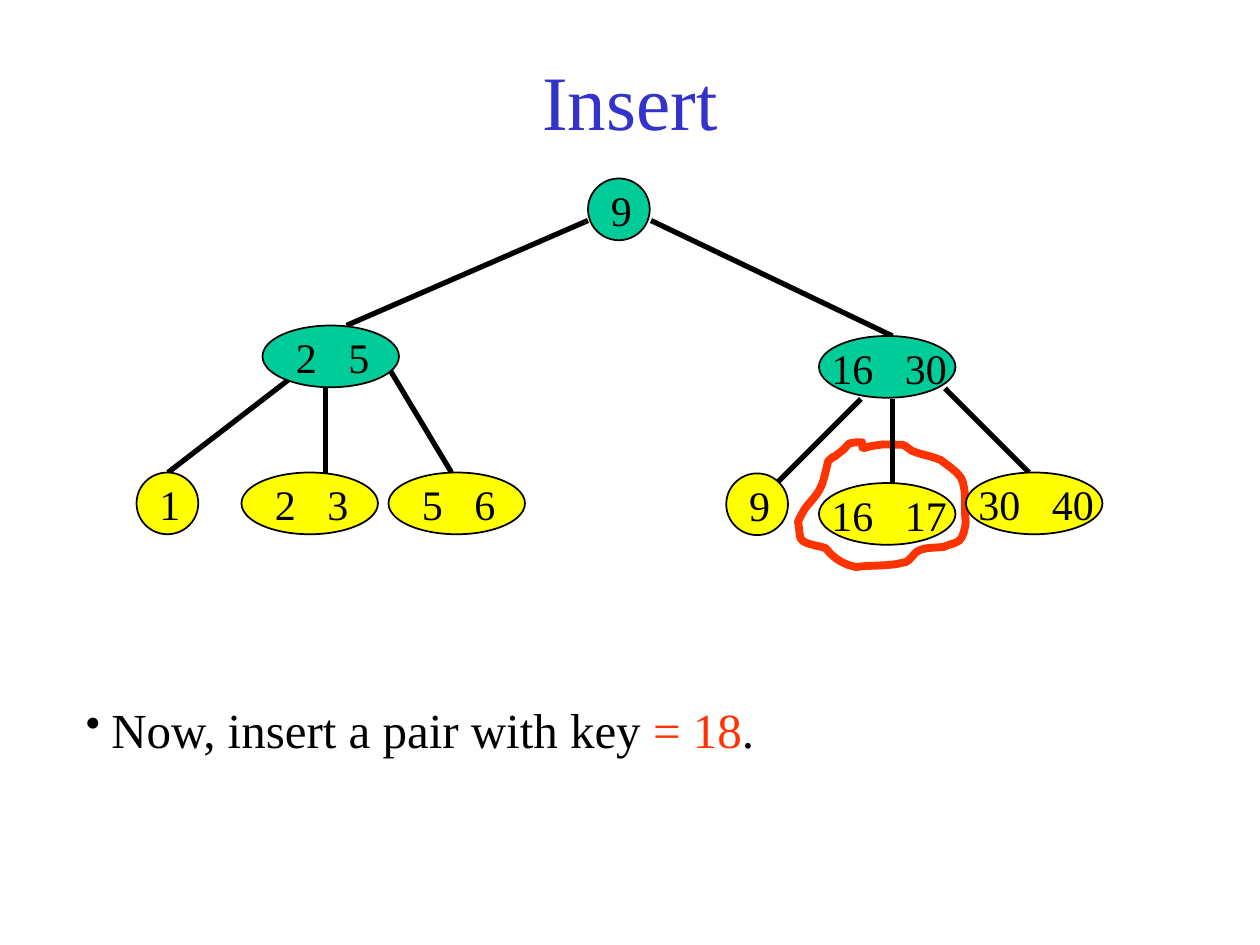
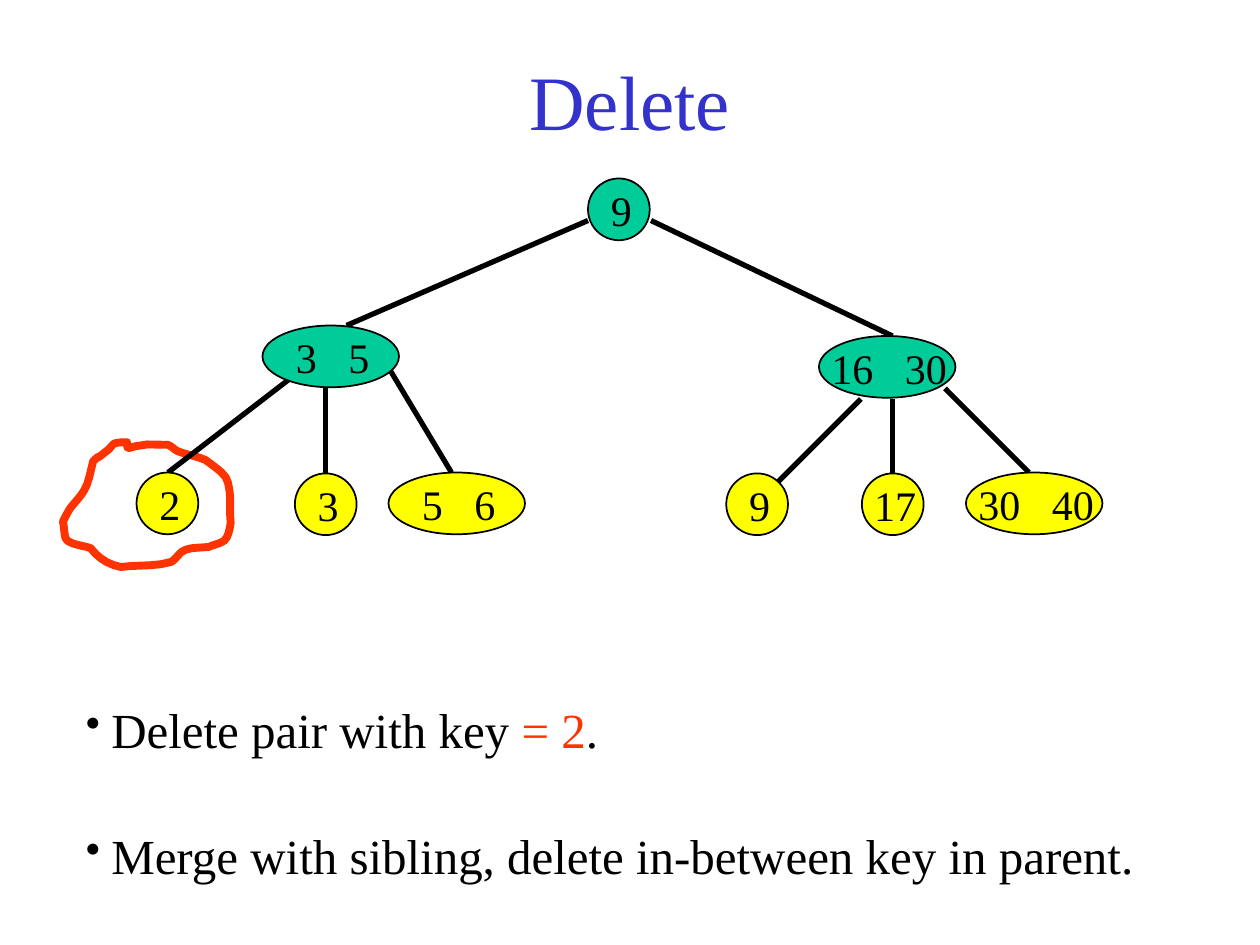
from itertools import pairwise

from lxml.etree import SubElement
from pptx import Presentation
from pptx.dml.color import RGBColor
from pptx.enum.shapes import MSO_CONNECTOR, MSO_SHAPE
from pptx.enum.text import MSO_ANCHOR, PP_ALIGN
from pptx.oxml.ns import qn
from pptx.util import Pt

FONT = "Times New Roman"
BLACK, BLUE, RED = "000000", "3333CC", "FF3300"
INDEX_FILL, LEAF_FILL = "00CC99", "FFFF00"

# Tree parts on both slides: (left, top, keys)
INDEX_NODES = [(336, 102, ["9"]), (468, 192, ["16", "30"])]
LEAF_NODES = [(222, 270, ["5", "6"]), (415, 270.5, ["9"]), (552, 270, ["30", "40"])]
EDGES = [
    (336, 126, 198, 186), (372, 126, 510, 192),
    (174, 210, 96, 270), (186, 222, 186, 270), (222, 210, 258, 270),
    (492, 228, 444, 276), (510, 228, 510, 276), (540, 222, 588, 270),
]

# Bullets are lists of (text, colour) spans
SLIDES = [
    {
        "title": "Insert",
        "mark": (456, 252),
        "index": [(150, 186, ["2", "5"])],
        "leaves": [(78, 270, ["1"]), (138, 270, ["2", "3"]), (468, 276, ["16", "17"])],
        "bullets": [
            [("Now, insert a pair with key ", BLACK), ("= 18", RED), (".", BLACK)],
        ],
    },
    {
        "title": "Delete",
        "mark": (36, 252),
        "index": [(150, 186, ["3", "5"])],
        "leaves": [(78, 270, ["2"]), (168.5, 270.5, ["3"]), (492.5, 270.5, ["17"])],
        "bullets": [
            [("Delete pair with key ", BLACK), ("= 2", RED), (".", BLACK)],
            [("Merge with sibling, delete in-between key in parent.", BLACK)],
        ],
    },
]

# Hand-drawn ring: a start point, then two handles and an end per curve
RING_START = (36.7, 0.7)
RING_CURVES = [
    (34.6, 0.7, 31.7, 0.7, 29.5, 1.4), (28.1, 2.2, 27.4, 3.6, 25.9, 5),
    (14.4, 14.4, 24.5, 5, 17.3, 11.5), (15.8, 16.6, 15.1, 23, 12.2, 28.1),
    (10.1, 31.7, 7.2, 34.6, 4.3, 38.2), (2.9, 40.3, 1.4, 43.2, 0, 46.1),
    (0.7, 49, 0.7, 52.6, 1.4, 55.4), (2.2, 59, 12.2, 59.8, 15.8, 61.2),
    (20.2, 67, 25.9, 70.6, 33.1, 72), (42.5, 70.6, 52.6, 72, 61.9, 69.1),
    (64.1, 67.7, 65.5, 65.5, 67.7, 63.4), (71.3, 60.5, 78.5, 61.2, 83.5, 60.5),
    (86.4, 59, 89.3, 59, 92.2, 56.9), (95, 54.7, 95.8, 46.8, 95.8, 46.8),
    (95, 39.6, 96.5, 31.7, 94.3, 23.8), (93.6, 18.7, 85, 13.7, 81.4, 10.8),
    (76.3, 8.6, 70.6, 7.9, 65.5, 5.8), (64.8, 5.8, 61.2, 2.2, 59.8, 2.2),
    (36, 0, 36.7, 8.6, 36.7, 0.7),
]
CURVE_STEPS = 5

NODE_HEIGHT, PAIR_WIDTH = 35.28, 78
DIGIT_WIDTH, KEY_GAP = 12, 18
BULLET_INDENT = 14.5


def color(value):
    return RGBColor.from_string(value)


def add_text(page, spans, left, top, width, height, size=24, align=PP_ALIGN.LEFT,
             anchor=MSO_ANCHOR.TOP, bullet=False, tab=None):
    box = page.shapes.add_textbox(Pt(left), Pt(top), Pt(width), Pt(height))
    frame = box.text_frame
    frame.word_wrap = True
    frame.vertical_anchor = anchor
    para = frame.paragraphs[0]
    para.alignment = align
    properties = para._p.get_or_add_pPr()
    if bullet:
        properties.set("marL", str(Pt(BULLET_INDENT)))
        properties.set("indent", str(-Pt(BULLET_INDENT)))
        SubElement(properties, qn("a:buSzPct"), val="86000")
        SubElement(properties, qn("a:buChar"), char="•")
    if tab:
        stops = SubElement(properties, qn("a:tabLst"))
        SubElement(stops, qn("a:tab"), pos=str(Pt(tab)), algn="l")
    for text, text_color in spans:
        span = para.add_run()
        span.text = text
        span.font.name = FONT
        span.font.size = Pt(size)
        span.font.color.rgb = color(text_color)


def add_edge(page, *ends):
    edge = page.shapes.add_connector(MSO_CONNECTOR.STRAIGHT, *map(Pt, ends))
    edge.line.width = Pt(3)
    edge.line.color.rgb = color(BLACK)
    SubElement(edge._element.spPr, qn("a:effectLst"))


def add_node(page, left, top, keys, fill):
    is_pair = len(keys) == 2
    width = PAIR_WIDTH if is_pair else NODE_HEIGHT
    node = page.shapes.add_shape(MSO_SHAPE.OVAL, Pt(left), Pt(top), Pt(width), Pt(NODE_HEIGHT))
    node.shadow.inherit = False
    node.fill.solid()
    node.fill.fore_color.rgb = color(fill)
    node.line.color.rgb = color(BLACK)
    node.line.width = Pt(1)

    # One-digit keys start further in; two-digit keys start at the node's edge
    shift = 0 if len(keys[0]) == 2 else 12 if is_pair else 6
    tab = DIGIT_WIDTH * len(keys[0]) + KEY_GAP if is_pair else None
    label_width = (tab or 0) + DIGIT_WIDTH * len(keys[-1]) + 18
    add_text(page, [("\t".join(keys), BLACK)], left + shift, top, label_width, 36, tab=tab)


def ring_points():
    ends = [RING_START] + [curve[4:] for curve in RING_CURVES]
    for (start, end), curve in zip(pairwise(ends), RING_CURVES):
        handles = start, curve[:2], curve[2:4], end
        for step in range(1, CURVE_STEPS + 1):
            t = step / CURVE_STEPS
            weights = (1 - t) ** 3, 3 * t * (1 - t) ** 2, 3 * t ** 2 * (1 - t), t ** 3
            yield tuple(sum(w * point[axis] for w, point in zip(weights, handles))
                        for axis in (0, 1))


def add_ring(page, left, top):
    def place(point):
        return Pt(left + point[0]), Pt(top + point[1])

    builder = page.shapes.build_freeform(*place(RING_START))
    builder.add_line_segments([place(point) for point in ring_points()], close=True)
    ring = builder.convert_to_shape()
    ring.shadow.inherit = False
    ring.fill.background()
    ring.line.color.rgb = color(RED)
    ring.line.width = Pt(4.5)


def build_slide(deck, content):
    page = deck.slides.add_slide(deck.slide_layouts[6])
    add_text(page, [(content["title"], BLUE)], 54, 12, 612, 90, size=44,
             align=PP_ALIGN.CENTER, anchor=MSO_ANCHOR.MIDDLE)
    # Tree
    add_ring(page, *content["mark"])
    for edge in EDGES:
        add_edge(page, *edge)
    for node in INDEX_NODES + content["index"]:
        add_node(page, *node, INDEX_FILL)
    for node in LEAF_NODES + content["leaves"]:
        add_node(page, *node, LEAF_FILL)
    # Explanation
    for row, spans in enumerate(content["bullets"]):
        add_text(page, spans, 42, 396 + 72 * row, 624, 41, size=28, bullet=True)


def main():
    deck = Presentation()
    deck.slide_width, deck.slide_height = Pt(720), Pt(540)
    for content in SLIDES:
        build_slide(deck, content)
    deck.save("out.pptx")


if __name__ == "__main__":
    main()
